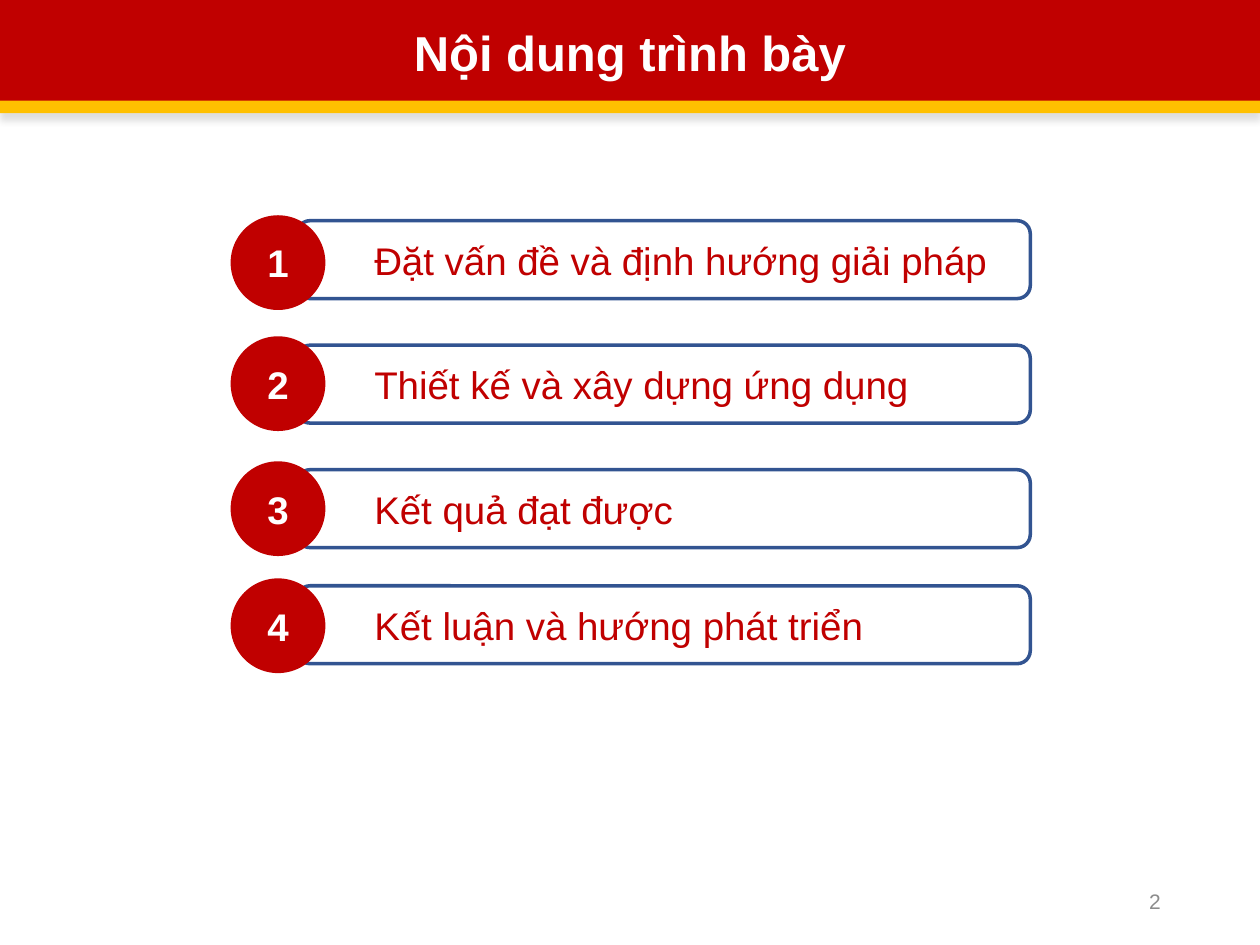
from dataclasses import dataclass
from lxml.etree import SubElement
from pptx import Presentation
from pptx.dml.color import RGBColor
from pptx.enum.shapes import MSO_SHAPE
from pptx.enum.text import MSO_ANCHOR, PP_ALIGN
from pptx.oxml.ns import qn
from pptx.util import Cm, Pt


@dataclass
class Theme:
    font: str = "Arial"
    red: str = "C00000"
    gold: str = "FFC000"
    blue: str = "325491"
    white: str = "FFFFFF"
    gray: str = "8C8C8C"
    head: int = 28
    body: int = 22
    foot: int = 12


theme = Theme()
deck = Presentation()
deck.slide_width, deck.slide_height = Cm(25.4), Cm(19.05)
slide = deck.slides.add_slide(deck.slide_layouts[6])


def draw(kind, left, top, width, height, fill=None, line=None):
    shape = slide.shapes.add_shape(kind, Cm(left), Cm(top), Cm(width), Cm(height))
    shape.shadow.inherit = False
    if fill:
        shape.fill.solid()
        shape.fill.fore_color.rgb = RGBColor.from_string(fill)
    else:
        shape.fill.background()
    if line:
        shape.line.color.rgb = RGBColor.from_string(line)
        shape.line.width = Pt(2)
    else:
        shape.line.fill.background()
    return shape


def write(shape, text, size, color, align, bold=False):
    frame = shape.text_frame
    frame.word_wrap = True
    frame.vertical_anchor = MSO_ANCHOR.MIDDLE
    para = frame.paragraphs[0]
    para.alignment = align
    run = para.add_run()
    run.text = text
    run.font.name = theme.font
    run.font.size = Pt(size)
    run.font.bold = bold
    run.font.color.rgb = RGBColor.from_string(color)


# Page number
page = slide.shapes.add_textbox(Cm(17.93), Cm(17.65), Cm(5.72), Cm(1.02))
write(page, "2", theme.foot, theme.gray, PP_ALIGN.RIGHT)

# Title band
band = draw(MSO_SHAPE.RECTANGLE, 0, 0, 25.4, 2.11, theme.red)
write(band, "Nội dung trình bày", theme.head, theme.white, PP_ALIGN.CENTER, True)

# Gold strip with a soft shadow below
strip = draw(MSO_SHAPE.RECTANGLE, 0, 2.03, 25.4, 0.25, theme.gold)
effect = strip.element.spPr.find(qn("a:effectLst"))
shade = SubElement(effect, qn("a:outerShdw"), blurRad=str(Pt(4)),
                   dist=str(Pt(4)), dir="5400000", rotWithShape="0")
tint = SubElement(shade, qn("a:srgbClr"), val="000000")
SubElement(tint, qn("a:alpha"), val="12000")

# Agenda: text, top of bar, top of disc
items = [
    ("Đặt vấn đề và định hướng giải pháp", 4.45, 4.34),
    ("Thiết kế và xây dựng ứng dụng", 6.96, 6.78),
    ("Kết quả đạt được", 9.47, 9.3),
    ("Kết luận và hướng phát triển", 11.81, 11.66),
]
for num, (text, top, high) in enumerate(items, 1):
    bar = draw(MSO_SHAPE.ROUNDED_RECTANGLE, 5.99, top, 14.78, 1.57, line=theme.blue)
    bar.text_frame.margin_left = Cm(1.48)
    write(bar, text, theme.body, theme.red, PP_ALIGN.LEFT)
    disc = draw(MSO_SHAPE.OVAL, 4.65, high, 1.91, 1.91, theme.red)
    write(disc, str(num), theme.body, theme.white, PP_ALIGN.CENTER, True)

deck.save("out.pptx")
